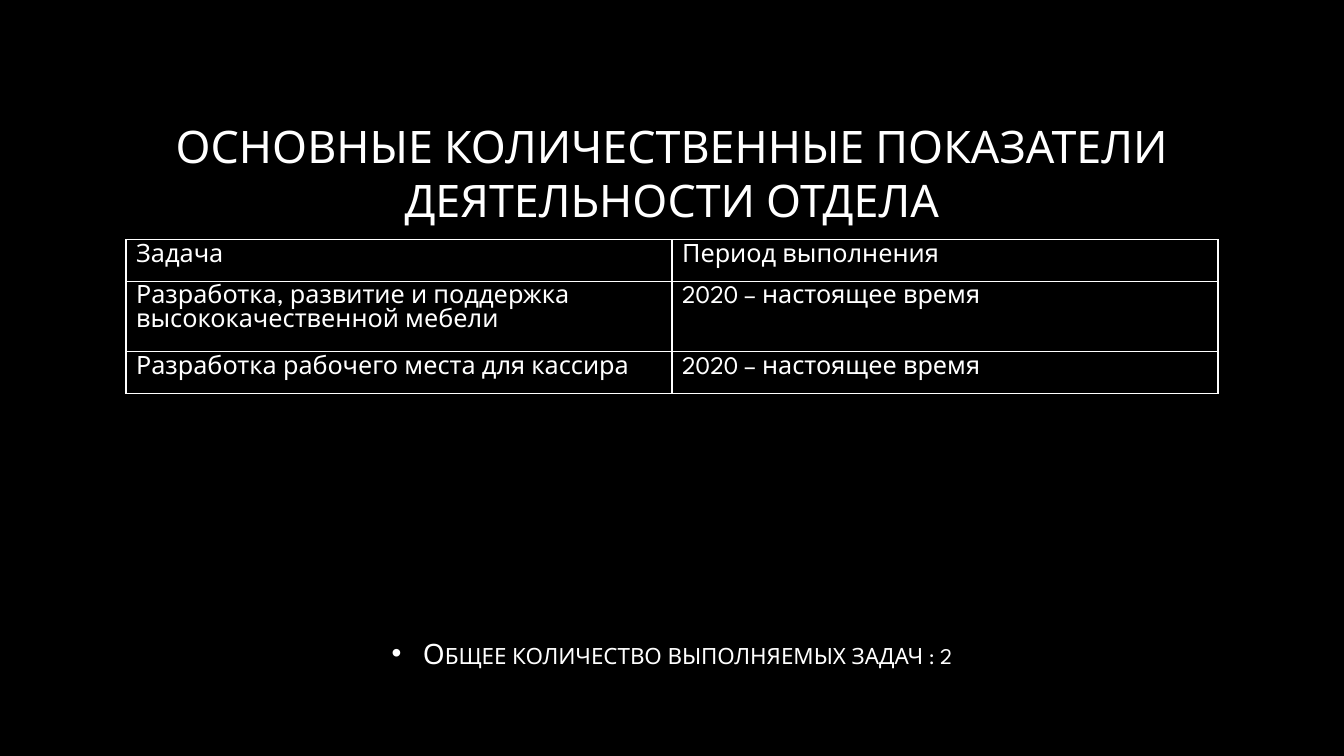
from lxml.etree import SubElement
from pptx import Presentation
from pptx.dml.color import RGBColor
from pptx.enum.text import MSO_ANCHOR, PP_ALIGN
from pptx.oxml.ns import qn
from pptx.util import Inches, Pt

BLACK = RGBColor(0, 0, 0)
WHITE = RGBColor(255, 255, 255)
FONT = "League Spartan"
LEFT, WIDTH = Inches(1.25), Inches(10.83)


def write(frame, text, size):
    paragraph = frame.paragraphs[0]
    run = paragraph.add_run()
    run.text = text
    for name, value in {"name": FONT, "size": Pt(size), "bold": False}.items():
        setattr(run.font, name, value)
    run.font.color.rgb = WHITE
    return paragraph


prs = Presentation()
prs.slide_width, prs.slide_height = Inches(13.33), Inches(7.5)
slide = prs.slides.add_slide(prs.slide_layouts[5])
slide.background.fill.solid()
slide.background.fill.fore_color.rgb = BLACK

title = slide.shapes.title
title_place = {"left": LEFT, "top": Inches(0.67), "width": WIDTH, "height": Inches(2.08)}
for name, value in title_place.items():
    setattr(title, name, value)
title.text_frame.vertical_anchor = MSO_ANCHOR.MIDDLE
heading = write(title.text_frame, "ОСНОВНЫЕ КОЛИЧЕСТВЕННЫЕ ПОКАЗАТЕЛИ ДЕЯТЕЛЬНОСТИ ОТДЕЛА", 32)
heading.alignment = PP_ALIGN.CENTER

total = slide.shapes.add_textbox(LEFT, Inches(5.61), WIDTH, Inches(1.26)).text_frame
total_format = {"word_wrap": True, "vertical_anchor": MSO_ANCHOR.MIDDLE, "margin_top": Inches(0.53)}
for name, value in total_format.items():
    setattr(total, name, value)
total_line = write(total, "Общее количество выполняемых задач : 2", 20)
total_line.alignment = PP_ALIGN.CENTER
total_line.runs[0].font._element.set("cap", "small")
bullet = total_line._p.get_or_add_pPr()
bullet.set("marL", str(Inches(0.31)))
bullet.set("indent", str(-Inches(0.31)))
bullet_color = SubElement(bullet, qn("a:buClr"))
SubElement(bullet_color, qn("a:srgbClr"), val=str(WHITE))
SubElement(bullet, qn("a:buFont"), typeface="Arial")
SubElement(bullet, qn("a:buChar"), char="•")

tasks = [
    ("Задача", "Период выполнения"),
    ("Разработка, развитие и поддержка высококачественной мебели", "2020 – настоящее время"),
    ("Разработка рабочего места для кассира", "2020 – настоящее время"),
]
table = slide.shapes.add_table(
    len(tasks), 2, LEFT, Inches(2.38), WIDTH, Inches(0.41) * len(tasks)
).table
table.first_row = False
table.horz_banding = False
for row, task in zip(table.rows, tasks):
    for cell, text in zip(row.cells, task):
        write(cell.text_frame, text, 18)
        borders = cell._tc.get_or_add_tcPr()
        for side in ("L", "R", "T", "B"):
            border = SubElement(borders, qn(f"a:ln{side}"), w=str(Pt(1)))
            border_fill = SubElement(border, qn("a:solidFill"))
            SubElement(border_fill, qn("a:srgbClr"), val=str(WHITE))
        cell.fill.background()

prs.save("out.pptx")
